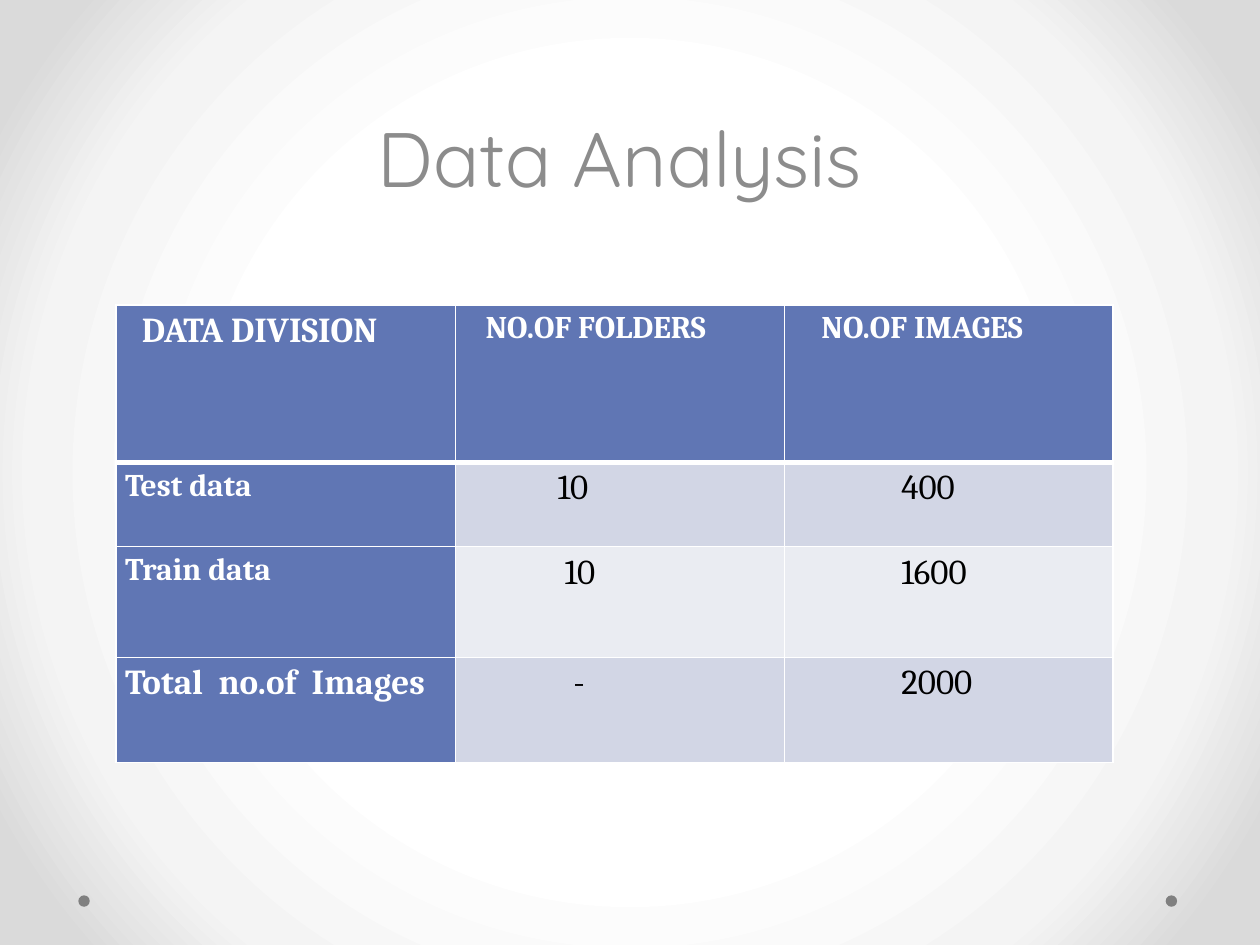
from dataclasses import dataclass

from pptx import Presentation
from pptx.dml.color import RGBColor
from pptx.enum.shapes import MSO_SHAPE
from pptx.enum.text import PP_ALIGN
from pptx.oxml import parse_xml
from pptx.oxml.ns import nsdecls
from pptx.util import Cm, Pt

OVAL = MSO_SHAPE.OVAL
CENTER = PP_ALIGN.CENTER
BLUE, WHITE, BLACK = "6076B4", "FFFFFF", "000000"
BAND_DARK, BAND_LIGHT = "D2D6E5", "EAECF2"
COL_WIDTHS = (6.84, 6.63, 6.63)
ROW_HEIGHTS = (3.17, 1.7, 2.23, 2.12)


@dataclass
class Entry:
    text: str
    size: int = 20
    indent: float = 0.18


ROWS = (
    (Entry("DATA DIVISION", indent=0.52), Entry("NO.OF FOLDERS", 18, 0.61),
     Entry("NO.OF IMAGES", 18, 0.75)),
    (Entry("Test data", 18), Entry("10", indent=2.06), Entry("400", indent=2.36)),
    (Entry("Train data", 18), Entry("10", indent=2.2), Entry("1600", indent=2.36)),
    (Entry("Total  no.of  Images"), Entry("-", indent=2.38), Entry("2000", indent=2.36)),
)


def rgb(value: str) -> RGBColor:
    return RGBColor.from_string(value)


def style_font(font, name: str, size: int, color: str, bold: bool = False) -> None:
    font.name, font.size, font.bold = name, Pt(size), bold
    font.color.rgb = rgb(color)


def set_background(s) -> None:
    stops = "".join(
        f'<a:gs pos="{pos * 1000}"><a:srgbClr val="{color}"/></a:gs>'
        for pos, color in ((50, "FFFFFF"), (76, "F4F4F4"), (92, "DADADA")))
    s._element.cSld.insert(0, parse_xml(
        f'<p:bg {nsdecls("p", "a")}><p:bgPr><a:gradFill rotWithShape="1">'
        f'<a:gsLst>{stops}</a:gsLst><a:path path="circle">'
        '<a:fillToRect l="50000" t="50000" r="50000" b="50000"/></a:path>'
        '</a:gradFill><a:effectLst/></p:bgPr></p:bg>'))


def add_dot(s, left: float) -> None:
    sp = s.shapes.add_shape(OVAL, Cm(left), Cm(18.05), Cm(0.23), Cm(0.23))
    sp.shadow.inherit = False
    sp.fill.solid()
    sp.fill.fore_color.rgb = rgb("808080")
    sp.line.fill.background()


def add_title(s, text: str) -> None:
    tf = s.shapes.add_textbox(Cm(2.34), Cm(2.11), Cm(20.32), Cm(2.5)).text_frame
    tf.word_wrap = True
    p = tf.paragraphs[0]
    p.text, p.alignment = text, CENTER
    style_font(p.font, "Quicksand", 44, "8C8C8C")


def set_borders(cell, top: int, bottom: int) -> None:
    tcPr = cell._tc.get_or_add_tcPr()
    for i, (side, width) in enumerate(
            (("L", 1), ("R", 1), ("T", top), ("B", bottom))):
        tcPr.insert(i, parse_xml(
            f'<a:ln{side} {nsdecls("a")} w="{Pt(width)}"><a:solidFill>'
            f'<a:srgbClr val="{WHITE}"/></a:solidFill></a:ln{side}>'))


def fill_cell(cell, entry: Entry, row: int, col: int) -> None:
    heading = row == 0 or col == 0
    band = BAND_DARK if row % 2 else BAND_LIGHT
    cell.fill.solid()
    cell.fill.fore_color.rgb = rgb(BLUE if heading else band)
    cell.margin_left, cell.margin_right = Cm(entry.indent), Cm(0.18)
    cell.margin_top = cell.margin_bottom = 0
    p = cell.text_frame.paragraphs[0]
    p.text, p.line_spacing = entry.text, 1.15
    style_font(p.font, "Cambria", entry.size, WHITE if heading else BLACK, heading)
    set_borders(cell, 3 if row == 1 else 1, 3 if row == 0 else 1)


def add_data_table(s) -> None:
    table = s.shapes.add_table(
        len(ROWS), len(COL_WIDTHS), Cm(2.34), Cm(6.15),
        Cm(sum(COL_WIDTHS)), Cm(sum(ROW_HEIGHTS))).table
    for column, width in zip(table.columns, COL_WIDTHS):
        column.width = Cm(width)
    for r, (entries, height) in enumerate(zip(ROWS, ROW_HEIGHTS)):
        table.rows[r].height = Cm(height)
        for c, entry in enumerate(entries):
            fill_cell(table.cell(r, c), entry, r, c)


def main() -> None:
    prs = Presentation()
    prs.slide_width, prs.slide_height = Cm(25.4), Cm(19.05)
    s = prs.slides.add_slide(prs.slide_layouts[6])
    set_background(s)
    for left in (23.5, 1.58):
        add_dot(s, left)
    add_title(s, "Data Analysis")
    add_data_table(s)
    prs.save("out.pptx")


if __name__ == "__main__":
    main()
